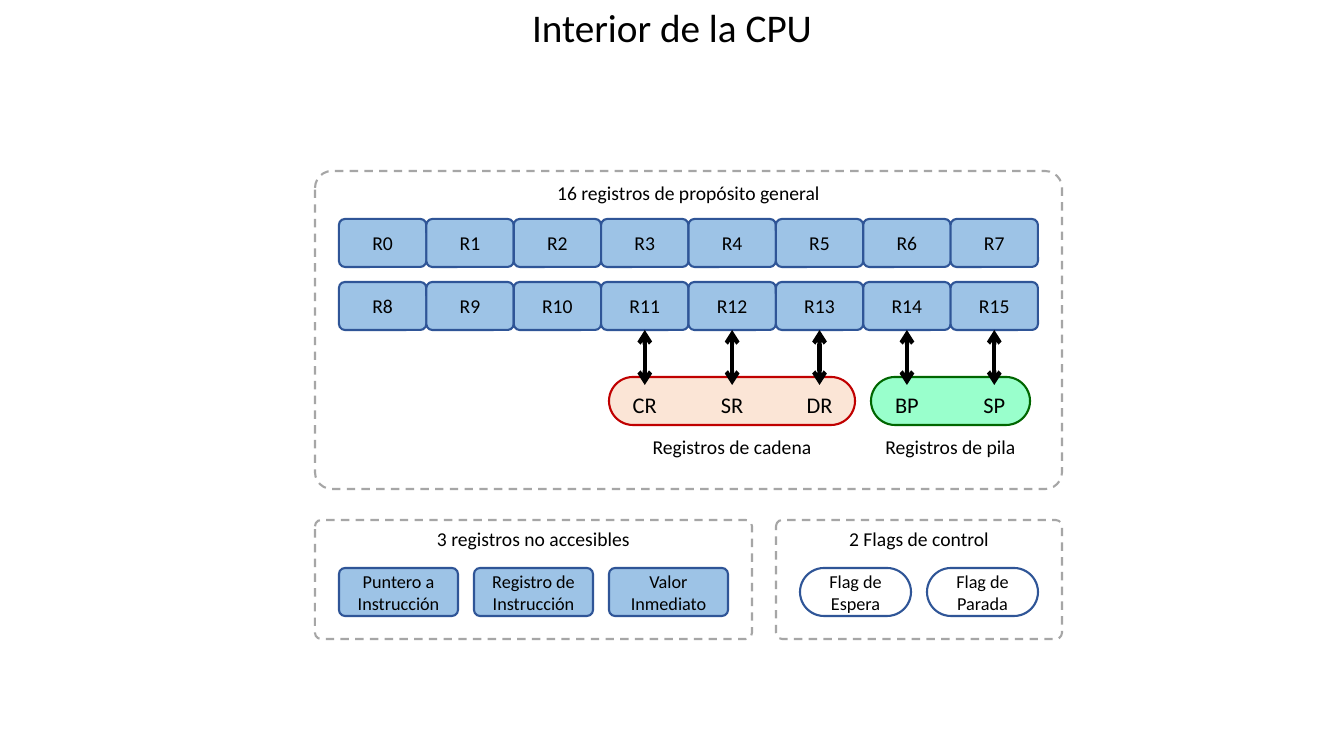
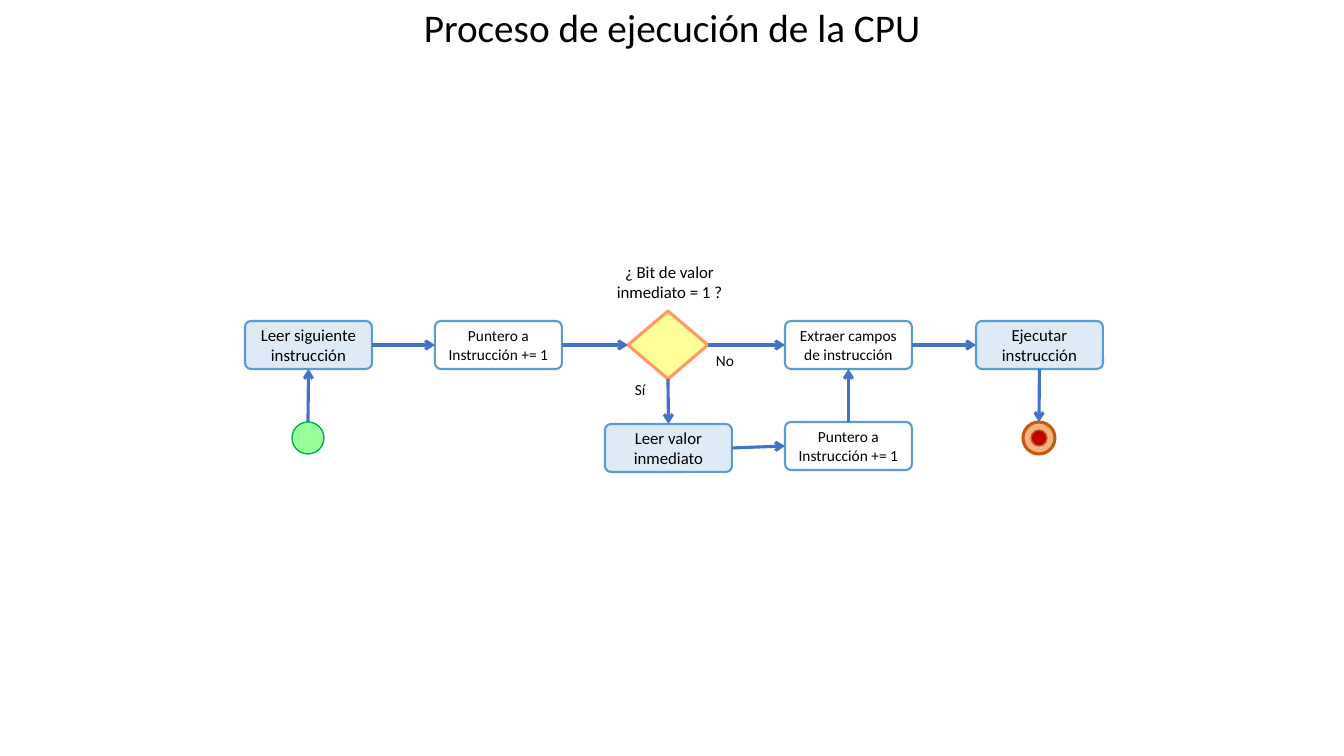
from dataclasses import dataclass

from lxml import etree
from pptx import Presentation
from pptx import util as u
from pptx.dml.color import RGBColor
from pptx.enum import dml, shapes, text
from pptx.oxml import ns

PX = 914400 / 100.8
SLIDE_W, SLIDE_H = 1344, 756
TOP, LEFT, BOTTOM, RIGHT = range(4)  # connection sites
SHAPE = shapes.MSO_SHAPE
CENTER = text.PP_ALIGN.CENTER
MIDDLE = text.MSO_ANCHOR.MIDDLE


@dataclass(frozen=True)
class Style:
    fill: str = None
    line: str = None
    weight: float = 1.5
    dash: bool = False
    size: int = 14
    kind: object = SHAPE.ROUNDED_RECTANGLE
    corner: float = None
    anchor: object = MIDDLE


class Theme:
    font = "Calibri"
    ink = "000000"
    paper = "FFFFFF"
    flow_line = "4472C4"
    title_size = 28
    alias_size = 16
    label_size = 14
    question_size = 12
    branch_size = 11
    alias_arrow = 3
    flow_arrow = 2.25

    panel = Style(None, "A6A6A6", dash=True, corner=0.053, anchor=text.MSO_ANCHOR.TOP)
    register = Style("9DC3E6", "2F5597", corner=0.125)
    hidden = Style("9DC3E6", "2F5597", size=13, corner=0.125)
    flag = Style(paper, "2F5597", size=13, corner=0.5)
    string_pill = Style("FBE5D6", "C00000", corner=0.5)
    stack_pill = Style("99FFCC", "006600", corner=0.5)
    access = Style("DEEBF7", "5B9BD5", size=12, corner=0.125)
    step = Style(paper, "5B9BD5", size=11, corner=0.125)
    decision = Style("FFFF99", "FF9966", 2.25, kind=SHAPE.FLOWCHART_DECISION)
    start = Style("99FF99", "00B050", 1, kind=SHAPE.FLOWCHART_CONNECTOR)
    end_ring = Style("F4B183", "C55A11", 2.25, kind=SHAPE.FLOWCHART_CONNECTOR)
    end_core = Style("C00000", "C55A11", 1, kind=SHAPE.FLOWCHART_CONNECTOR)


# Slide 1: boxes are (left, top, width, height) in px
CPU_TITLE = "Interior de la CPU"
PANELS = [
    ("16 registros de propósito general", (315, 171, 747, 318)),
    ("3 registros no accesibles", (315, 520, 437, 119)),
    ("2 Flags de control", (776, 520, 286, 119)),
]
REGISTER_COUNT, COLUMNS = 16, 8
BANK_LEFT, BANK_TOP, BANK_WIDTH = 339, 219, 699
ROW_PITCH, CELL_H = 63, 48
PILLS = [
    ("Registros de cadena", 609, 246, Theme.string_pill),
    ("Registros de pila", 871, 159, Theme.stack_pill),
]
PILL_TOP, CAPTION_TOP, CAPTION_H = 377, 430, 34
ALIASES = {11: "CR", 12: "SR", 13: "DR", 14: "BP", 15: "SP"}
ALIAS_TOP, ALIAS_H = 385, 39
INNER_TOP, INNER_GAP = 568, 16
INNER_ROWS = [
    (["Puntero a Instrucción", "Registro de Instrucción", "Valor Inmediato"],
     339, 119, Theme.hidden),
    (["Flag de Espera", "Flag de Parada"], 800, 111, Theme.flag),
]

# Slide 2
FLOW_TITLE = "Proceso de ejecución de la CPU"
STEP_W, STEP_H = 127, 48
STEPS = {
    "read": ("Leer siguiente instrucción", 245, 321, Theme.access),
    "advance": ("Puntero a Instrucción += 1", 435, 321, Theme.step),
    "extract": ("Extraer campos de instrucción", 785, 321, Theme.step),
    "execute": ("Ejecutar instrucción", 976, 321, Theme.access),
    "read_value": ("Leer valor inmediato", 605, 424, Theme.access),
    "skip_value": ("Puntero a Instrucción += 1", 785, 422, Theme.step),
}
MARKS = {
    "has_value": ((628, 311, 80, 68), Theme.decision),
    "start": ((292, 422, 32, 32), Theme.start),
}
END_RING, END_CORE = (1023, 422, 32, 32), (1031, 430, 16, 16)
FLOW = [
    ("start", TOP, "read", BOTTOM),
    ("read", RIGHT, "advance", LEFT),
    ("advance", RIGHT, "has_value", LEFT),
    ("has_value", RIGHT, "extract", LEFT),
    ("has_value", BOTTOM, "read_value", TOP),
    ("read_value", RIGHT, "skip_value", LEFT),
    ("skip_value", TOP, "extract", BOTTOM),
    ("extract", RIGHT, "execute", LEFT),
    ("execute", BOTTOM, "end", TOP),
]
QUESTION = ("¿ Bit de valor inmediato = 1 ?", (594, 257, 151, 50))
BRANCHES = [("Sí", (625, 375, 48, 29)), ("No", (706, 346, 48, 29))]


def emu(box):
    return [u.Emu(round(length * PX)) for length in box]


def rgb(code):
    return RGBColor.from_string(code)


def write(frame, words, size, align=CENTER, anchor=MIDDLE):
    frame.word_wrap = True
    frame.vertical_anchor = anchor
    para = frame.paragraphs[0]
    para.text = words
    para.alignment = align
    for span in para.runs:
        span.font.name = Theme.font
        span.font.size = u.Pt(size)
        span.font.color.rgb = rgb(Theme.ink)
    return para


def add_box(parent, box, style, words=""):
    shape = parent.add_shape(style.kind, *emu(box))
    shape.shadow.inherit = False
    if style.corner is not None:
        shape.adjustments[0] = style.corner
    if style.fill:
        shape.fill.solid()
        shape.fill.fore_color.rgb = rgb(style.fill)
    else:
        shape.fill.background()
    shape.line.color.rgb = rgb(style.line)
    shape.line.width = u.Pt(style.weight)
    if style.dash:
        shape.line.dash_style = dml.MSO_LINE.DASH
    if words:
        write(shape.text_frame, words, style.size, anchor=style.anchor)
    return shape


def add_label(page, box, words, size, align=CENTER, anchor=text.MSO_ANCHOR.TOP):
    label = page.shapes.add_textbox(*emu(box))
    write(label.text_frame, words, size, align, anchor)
    return label


def add_arrow(page, source, source_site, target, target_site, color, weight, ends):
    """Glue a straight arrow to two shapes; ends lists headEnd and/or tailEnd."""
    arrow = page.shapes.add_connector(shapes.MSO_CONNECTOR.STRAIGHT, 0, 0, 0, 0)
    arrow.begin_connect(source, source_site)
    arrow.end_connect(target, target_site)
    arrow.line.color.rgb = rgb(color)
    arrow.line.width = u.Pt(weight)
    line = arrow.line._get_or_add_ln()
    for end in ends:
        etree.SubElement(line, ns.qn(f"a:{end}"), type="arrow")
    etree.SubElement(arrow._element.spPr, ns.qn("a:effectLst"))


def add_page(deck, title):
    page = deck.slides.add_slide(deck.slide_layouts[5])
    band = page.shapes.title
    band.left, band.top, band.width, band.height = emu((0, 0, SLIDE_W, 60))
    band.fill.solid()
    band.fill.fore_color.rgb = rgb(Theme.paper)
    write(band.text_frame, title, Theme.title_size).line_spacing = 0.9
    return page


def build_cpu(deck):
    page = add_page(deck, CPU_TITLE)
    for words, box in PANELS:
        add_box(page.shapes, box, Theme.panel, words)
    for caption, left, width, style in PILLS:
        add_box(page.shapes, (left, PILL_TOP, width, CELL_H), style)
        add_label(page, (left, CAPTION_TOP, width, CAPTION_H), caption, Theme.label_size)
    cell_w = BANK_WIDTH / COLUMNS
    for number in range(REGISTER_COUNT):
        row, column = divmod(number, COLUMNS)
        left = BANK_LEFT + column * cell_w
        register = add_box(page.shapes, (left, BANK_TOP + row * ROW_PITCH, cell_w, CELL_H),
                           Theme.register, f"R{number}")
        if number in ALIASES:
            alias = add_label(page, (left, ALIAS_TOP, cell_w, ALIAS_H), ALIASES[number],
                              Theme.alias_size, anchor=MIDDLE)
            add_arrow(page, alias, TOP, register, BOTTOM, Theme.ink,
                      Theme.alias_arrow, ("headEnd", "tailEnd"))
    for names, left, width, style in INNER_ROWS:
        for index, name in enumerate(names):
            box = (left + index * (width + INNER_GAP), INNER_TOP, width, CELL_H)
            add_box(page.shapes, box, style, name)


def build_flow(deck):
    page = add_page(deck, FLOW_TITLE)
    nodes = {name: add_box(page.shapes, (left, top, STEP_W, STEP_H), style, words)
             for name, (words, left, top, style) in STEPS.items()}
    for name, (box, style) in MARKS.items():
        nodes[name] = add_box(page.shapes, box, style)
    end_mark = page.shapes.add_group_shape()
    nodes["end"] = add_box(end_mark.shapes, END_RING, Theme.end_ring)
    add_box(end_mark.shapes, END_CORE, Theme.end_core)
    for source, source_site, target, target_site in FLOW:
        add_arrow(page, nodes[source], source_site, nodes[target], target_site,
                  Theme.flow_line, Theme.flow_arrow, ("tailEnd",))
    words, box = QUESTION
    add_label(page, box, words, Theme.question_size)
    for words, box in BRANCHES:
        add_label(page, box, words, Theme.branch_size, text.PP_ALIGN.LEFT)


def main():
    deck = Presentation()
    deck.slide_width, deck.slide_height = emu((SLIDE_W, SLIDE_H))
    build_cpu(deck)
    build_flow(deck)
    deck.save("out.pptx")


if __name__ == "__main__":
    main()
